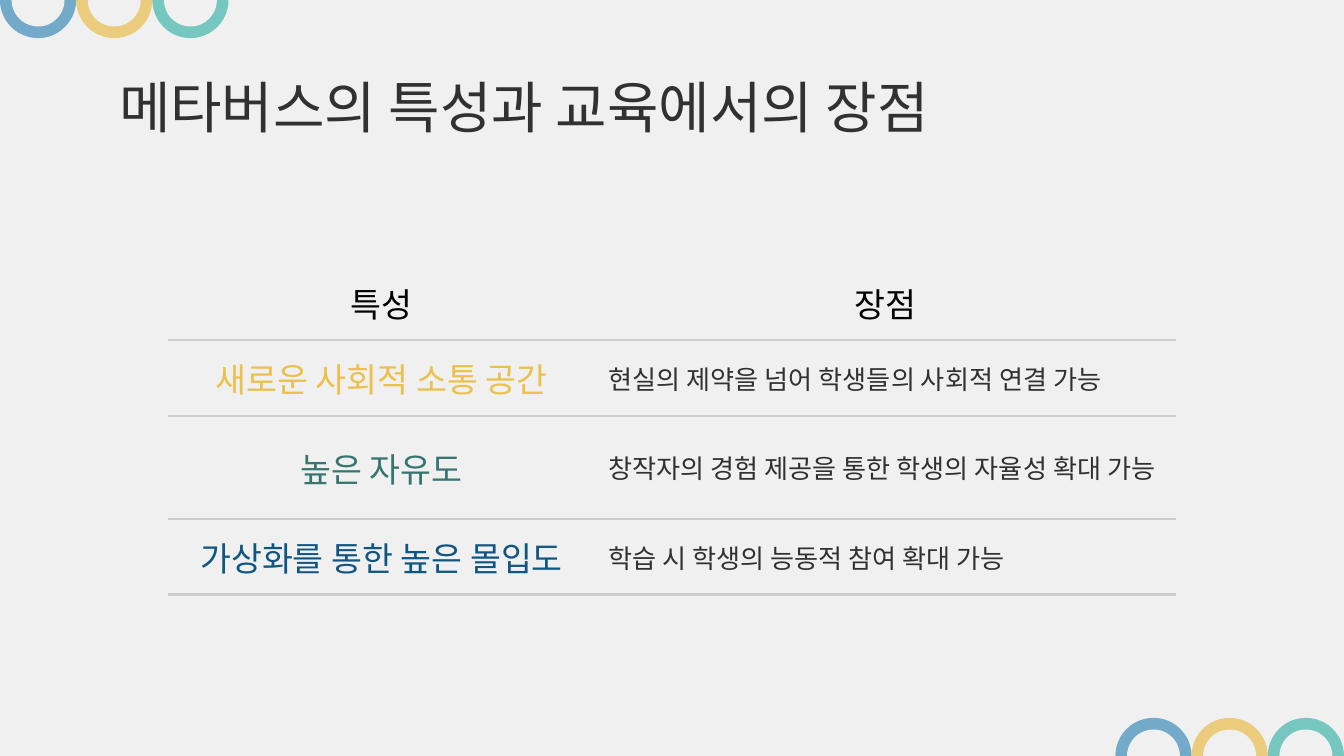
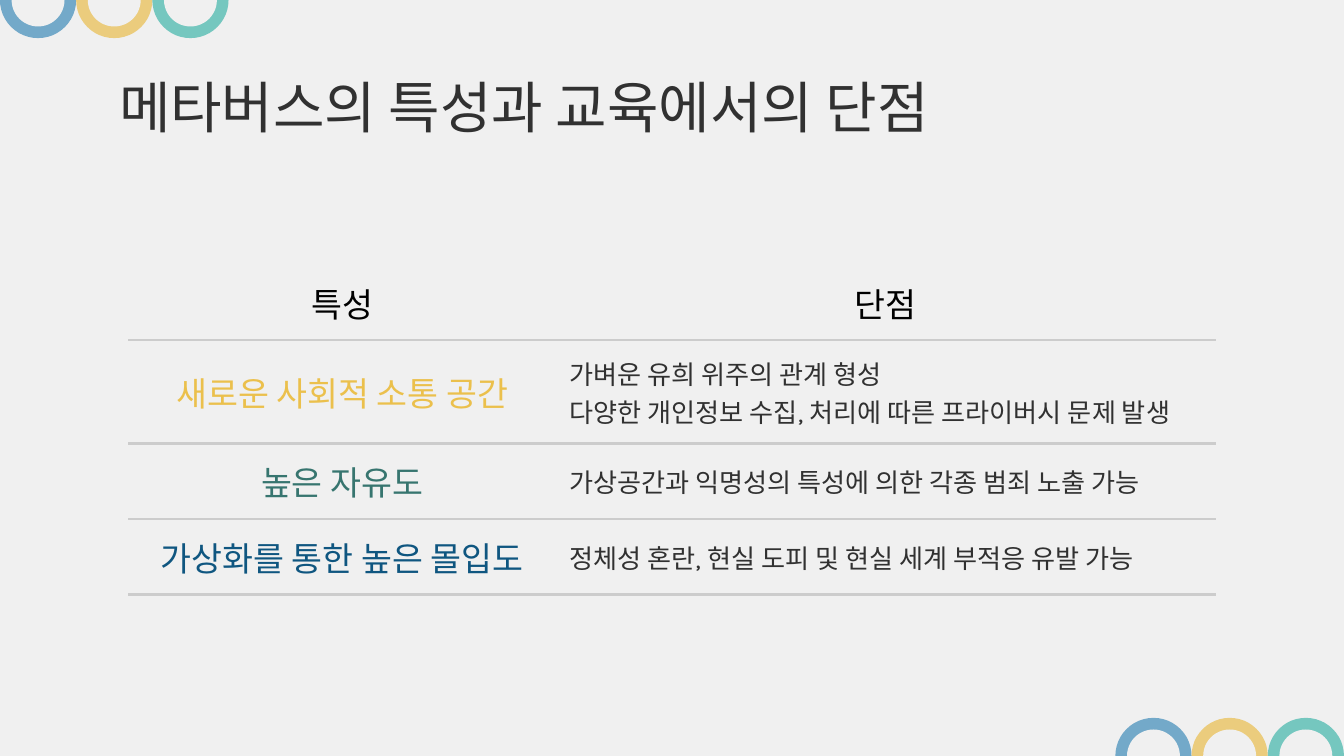
from dataclasses import dataclass
from lxml.etree import SubElement
from pptx import Presentation
from pptx.dml.color import RGBColor
from pptx.enum.shapes import MSO_SHAPE
from pptx.enum.text import MSO_ANCHOR, PP_ALIGN
from pptx.oxml.ns import qn
from pptx.util import Cm, Pt

WIDE, HIGH = 25.4, 14.29
PAPER, INK, BLACK, RULE = "F0F0F0", "313131", "000000", "CCCCCC"
RINGS = ("73A9C9", "EBCC7D", "75C7BF")
RING, INSET = 1.44, 0.22
NOTO, KARLA = "Noto Sans CJK KR", "Karla"
PAD = 0.25
TOP, FIRST = 5.0, 8.08
ROW, TALL = 1.43, 1.95
PLAIN = "{2D5ABB26-0587-4C30-8999-92F81FD0307C}"
TRAITS = (
    ("새로운 사회적 소통 공간", "EBC04C"),
    ("높은 자유도", "37756F"),
    ("가상화를 통한 높은 몰입도", "0F5680"),
)


@dataclass(frozen=True)
class Page:
    topic: str
    second: float
    tall: int
    points: tuple[str, ...]


PAGES = (
    Page("장점", 10.98, 2, (
        "현실의 제약을 넘어 학생들의 사회적 연결 가능",
        "창작자의 경험 제공을 통한 학생의 자율성 확대 가능",
        "학습 시 학생의 능동적 참여 확대 가능",
    )),
    Page("단점", 12.47, 1, (
        "가벼운 유희 위주의 관계 형성\n다양한 개인정보 수집, 처리에 따른 프라이버시 문제 발생",
        "가상공간과 익명성의 특성에 의한 각종 범죄 노출 가능",
        "정체성 혼란, 현실 도피 및 현실 세계 부적응 유발 가능",
    )),
)


def paint(fill, color: str) -> None:
    fill.solid()
    fill.fore_color.rgb = RGBColor.from_string(color)


def write(frame, text: str, *, size: int = 14, color: str = INK,
          asian: str = NOTO, align=PP_ALIGN.LEFT) -> None:
    frame.word_wrap = True
    frame.text = text
    for para in frame.paragraphs:
        para.alignment = align
        for run in para.runs:
            font = run.font
            font.size, font.name, font.bold = Pt(size), KARLA, False
            paint(font.fill, color)
            if asian:
                SubElement(font._element, qn("a:ea"), typeface=asian)


def pad(box) -> None:
    box.margin_left = box.margin_right = Cm(PAD)
    box.margin_top = box.margin_bottom = Cm(PAD)
    box.vertical_anchor = MSO_ANCHOR.MIDDLE


def disc(shapes, left: float, mid: float, size: float, color: str) -> None:
    oval = shapes.add_shape(MSO_SHAPE.OVAL, Cm(left), Cm(mid - size / 2),
                            Cm(size), Cm(size))
    oval.shadow.inherit = False
    oval.line.fill.background()
    paint(oval.fill, color)


def chain(slide, left: float, mid: float) -> None:
    shapes = slide.shapes.add_group_shape().shapes
    for num, color in enumerate(RINGS):
        start = left + num * RING
        disc(shapes, start, mid, RING, color)
        disc(shapes, start + INSET, mid, RING - 2 * INSET, PAPER)


def border(cell, head: bool) -> None:
    cell.fill.background()
    props = cell._tc.get_or_add_tcPr()
    drawn = {"lnB"} if head else {"lnT", "lnB"}
    for spot, side in enumerate(("lnL", "lnR", "lnT", "lnB")):
        line = SubElement(props, qn(f"a:{side}"), w=str(Pt(1.5)))
        if side in drawn:
            fill = SubElement(line, qn("a:solidFill"))
            SubElement(fill, qn("a:srgbClr"), val=RULE)
        else:
            SubElement(line, qn("a:noFill"))
        props.insert(spot, line)


def fill_cell(cell, text: str, head: bool = False, **style) -> None:
    pad(cell)
    write(cell.text_frame, text, **style)
    border(cell, head)


def grid(slide, page: Page) -> None:
    width = FIRST + page.second
    count = len(TRAITS) + 1
    frame = slide.shapes.add_table(count, 2, Cm((WIDE - width) / 2), Cm(TOP),
                                   Cm(width), Cm(ROW * (count - 1) + TALL))
    table = frame.table
    table.first_row = table.horz_banding = False
    table._tbl.tblPr.find(qn("a:tableStyleId")).text = PLAIN
    for col, size in zip(table.columns, (FIRST, page.second)):
        col.width = Cm(size)
    for num, row in enumerate(table.rows):
        row.height = Cm(TALL if num == page.tall else ROW)
    big = {"size": 18, "align": PP_ALIGN.CENTER}
    for col, label in enumerate(("특성", page.topic)):
        fill_cell(table.cell(0, col), label, True, color=BLACK, asian="", **big)
    for row, ((trait, color), point) in enumerate(zip(TRAITS, page.points), 1):
        fill_cell(table.cell(row, 0), trait, color=color, **big)
        fill_cell(table.cell(row, 1), point)


def title(slide, text: str) -> None:
    box = slide.shapes.add_textbox(Cm(2), Cm(1.5), Cm(21.4), Cm(1.02))
    pad(box.text_frame)
    write(box.text_frame, text, size=30)


def main() -> None:
    deck = Presentation()
    deck.slide_width, deck.slide_height = Cm(WIDE), Cm(HIGH)
    paint(deck.slide_master.background.fill, PAPER)
    for page in PAGES:
        slide = deck.slides.add_slide(deck.slide_layouts[6])
        chain(slide, 0, 0)
        chain(slide, WIDE - RING * len(RINGS), HIGH)
        title(slide, f"메타버스의 특성과 교육에서의 {page.topic}")
        grid(slide, page)
    deck.save("out.pptx")


if __name__ == "__main__":
    main()
